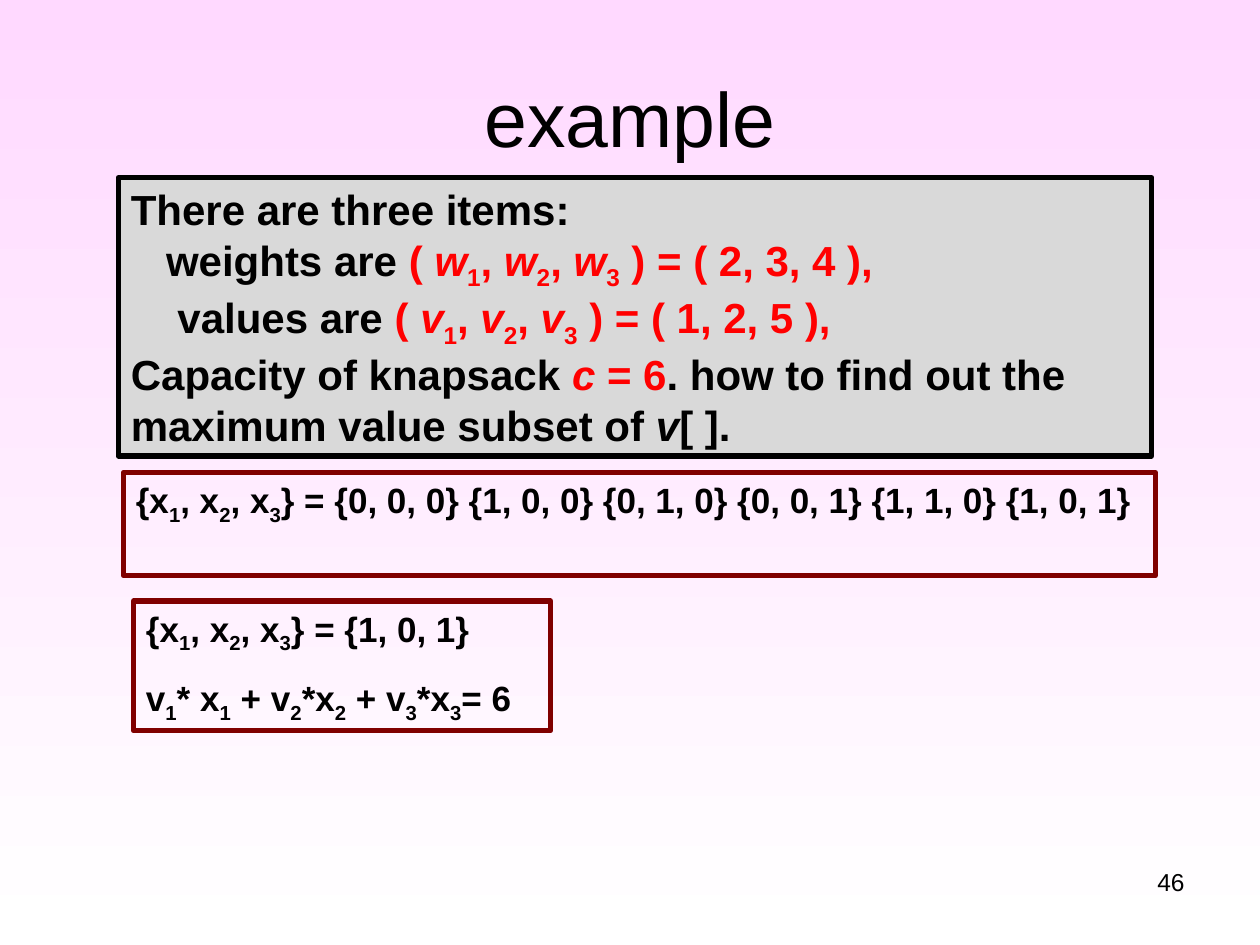
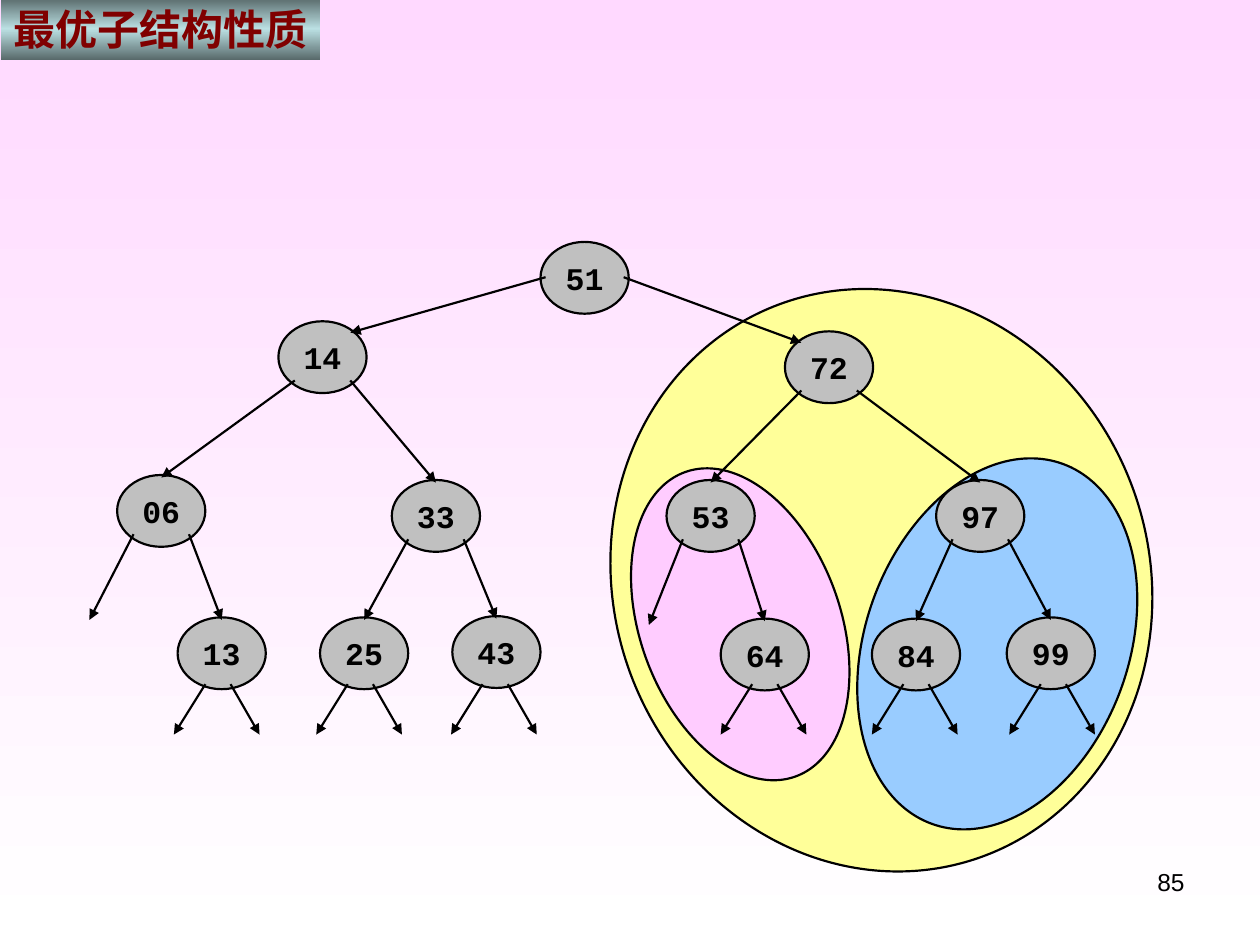
import copy
import itertools

from pptx import Presentation
from pptx import util as u
from pptx.dml.color import RGBColor
from pptx.enum import shapes, text
from pptx.oxml import ns
from pptx.oxml.xmlchemy import OxmlElement

BLACK = RGBColor(0x00, 0x00, 0x00)
WHITE = RGBColor(0xFF, 0xFF, 0xFF)
RED = RGBColor(0xFF, 0x00, 0x00)
MAROON = RGBColor(0x80, 0x00, 0x00)
PINK_TOP = RGBColor(0xFF, 0xD9, 0xFF)
PANEL_GREY = RGBColor(0xD9, 0xD9, 0xD9)
NODE_GREY = RGBColor(0xC0, 0xC0, 0xC0)
YELLOW = RGBColor(0xFF, 0xFF, 0x99)
BLUE = RGBColor(0x99, 0xCC, 0xFF)
PINK = RGBColor(0xFF, 0xCC, 0xFF)
TEAL_DARK = RGBColor(0x57, 0x68, 0x69)
TEAL_LIGHT = RGBColor(0xBB, 0xE0, 0xE3)
LEFT, CENTER, RIGHT = text.PP_ALIGN.LEFT, text.PP_ALIGN.CENTER, text.PP_ALIGN.RIGHT
TOP, MIDDLE = text.MSO_ANCHOR.TOP, text.MSO_ANCHOR.MIDDLE
RECT, OVAL = shapes.MSO_SHAPE.RECTANGLE, shapes.MSO_SHAPE.OVAL


def add_shape(parent, kind, box, fill=None, line=None, width=1.25):
    sp = parent.shapes.add_shape(kind, *map(u.Inches, box))
    sp.shadow.inherit = False
    if fill is None:
        sp.fill.background()
    else:
        sp.fill.solid()
        sp.fill.fore_color.rgb = fill
    if line is None:
        sp.line.fill.background()
    else:
        sp.line.color.rgb = line
        sp.line.width = u.Pt(width)
    return sp


def write(sp, lines, size, align=LEFT, anchor=TOP, bold=False, color=BLACK,
          font="Arial", wrap=True, gap=0):
    """Marks in a line: ^ toggles italic, # toggles red, _ lowers the next character."""
    tf = sp.text_frame
    tf.word_wrap, tf.vertical_anchor = wrap, anchor
    for i, line in enumerate(lines):
        p = tf.paragraphs[0] if i == 0 else tf.add_paragraph()
        p.alignment = align
        if i and gap:
            p.space_before = u.Pt(gap)
        p.font.name, p.font.size, p.font.bold = font, u.Pt(size), bold
        p.font.color.rgb = color
        chars, italic, red, low = [], False, False, False
        for ch in line:
            if ch == "^":
                italic = not italic
            elif ch == "#":
                red = not red
            elif ch == "_":
                low = True
            else:
                chars.append((ch, (italic, red, low)))
                low = False
        for (italic, red, low), group in itertools.groupby(chars, lambda c: c[1]):
            r = p.add_run()
            r.text = "".join(ch for ch, _ in group)
            if italic:
                r.font.italic = True
            if red:
                r.font.color.rgb = RED
            if low:
                r.font._element.set("baseline", "-25000")


prs = Presentation()
prs.slide_width, prs.slide_height = u.Inches(10), u.Inches(7.5)

# Shared background
bg = prs.slide_master.background.fill
bg.gradient()
bg.gradient_angle = 270
for stop, color in zip(bg.gradient_stops, (PINK_TOP, WHITE)):
    stop.color.rgb = color

# Slides with their page numbers
slides = []
for number in ("46", "85"):
    s = prs.slides.add_slide(prs.slide_layouts[6])
    sp = s.shapes.add_textbox(*map(u.Inches, (7.17, 6.83, 2.33, 0.52)))
    write(sp, [number], 14, RIGHT)
    slides.append(s)
example, tree_slide = slides

# Knapsack example: title
sp = example.shapes.add_textbox(*map(u.Inches, (0.5, 0.3, 9, 1.25)))
write(sp, ["example"], 44, CENTER, MIDDLE)

# Problem statement, with the two data lines indented
sp = add_shape(example, RECT, (0.94, 1.41, 8.2, 2.21), PANEL_GREY, BLACK, 3)
write(sp, ["There are three items:",
           "weights are #( ^w^_1, ^w^_2, ^w^_3 ) = ( 2, 3, 4 ),#",
           "values are #( ^v^_1, ^v^_2, ^v^_3 ) = ( 1, 2, 5 ),#",
           "Capacity of knapsack #^c^ = 6#. how to find out the "
           "maximum value subset of ^v^[ ]."], 24, bold=True)
for p, indent in zip(sp.text_frame.paragraphs[1:3], (0.28, 0.37)):
    p._p.get_or_add_pPr().set("marL", str(u.Inches(indent)))

# Candidate subsets and the best one
answers = [
    ((0.98, 3.75, 8.19, 0.82),
     ["{x_1, x_2, x_3} = {0, 0, 0} {1, 0, 0} {0, 1, 0} {0, 0, 1} {1, 1, 0} {1, 0, 1}"]),
    ((1.06, 4.77, 3.31, 1.03),
     ["{x_1, x_2, x_3} = {1, 0, 1}", "v_1* x_1 + v_2*x_2 + v_3*x_3= 6"]),
]
for box, lines in answers:
    sp = add_shape(example, RECT, box, line=MAROON, width=3)
    write(sp, lines, 20, bold=True, gap=12.5)

# Optimal substructure: nested subtree regions
regions = [
    ((4.87, 2.27, 4.25, 4.67), 340, YELLOW),
    ((6.87, 3.59, 2.09, 3.04), 20, BLUE),
    ((5.08, 3.67, 1.59, 2.57), 340, PINK),
]
for box, angle, fill in regions:
    sp = add_shape(tree_slide, OVAL, box, fill, BLACK)
    sp.rotation = angle

# Tree nodes: centre x and top y
NODE_W, NODE_H = 0.7, 0.57
nodes = {
    "51": (4.64, 1.92), "14": (2.56, 2.55), "72": (6.58, 2.63),
    "06": (1.28, 3.77), "33": (3.46, 3.81), "53": (5.64, 3.81), "97": (7.78, 3.81),
    "13": (1.76, 4.9), "25": (2.89, 4.9), "43": (3.94, 4.89),
    "64": (6.07, 4.91), "84": (7.27, 4.91), "99": (8.34, 4.9),
}
tree = tree_slide.shapes.add_group_shape()
for key, (x, y) in nodes.items():
    sp = add_shape(tree, OVAL, (x - NODE_W / 2, y, NODE_W, NODE_H), NODE_GREY, BLACK)
    write(sp, [key], 18, CENTER, MIDDLE, True, font="Courier New", wrap=False)

# Branches: the root's meet the children's shoulders, the others their tops
arrows = []
x, y = nodes["51"]
for side, child in ((-1, "14"), (1, "72")):
    cx, cy = nodes[child]
    arrows.append((x + side * 0.31, y + 0.28, cx - side * 0.22, cy + 0.09))
children = {"14": ("06", "33"), "72": ("53", "97"), "06": (None, "13"),
            "33": ("25", "43"), "53": (None, "64"), "97": ("84", "99")}
for parent, pair in children.items():
    x, y = nodes[parent]
    for side, child in zip((-1, 1), pair):
        cx, cy = nodes[child] if child else (x - 0.57 + 0.08 * (parent == "53"), y + 1.13)
        arrows.append((x + side * 0.22, y + 0.47, cx, cy + 0.02))

# Open branches under the leaves, by the middle of each pair
for x in (1.73, 2.86, 3.93, 6.07, 7.27, 8.36):
    arrows.append((x - 0.1, 5.43, x - 0.35, 5.83))
    arrows.append((x + 0.1, 5.43, x + 0.33, 5.83))

for ends in arrows:
    c = tree.shapes.add_connector(shapes.MSO_CONNECTOR.STRAIGHT, *map(u.Inches, ends))
    c.line.color.rgb = BLACK
    c.line.width = u.Pt(1.25)
    head = OxmlElement("a:tailEnd")
    head.set("type", "triangle")
    c.line._get_or_add_ln().append(head)
    c._element.spPr.append(OxmlElement("a:effectLst"))

# Heading band, dark at both edges
sp = add_shape(tree_slide, RECT, (0.01, -0.02, 2.53, 0.5))
sp.fill.gradient()
sp.fill.gradient_angle = 270
stops = sp._element.spPr.find(".//" + ns.qn("a:gsLst"))
stops.append(copy.deepcopy(stops[-1]))
band = ((0, TEAL_DARK), (0.5, TEAL_LIGHT), (1, TEAL_DARK))
for stop, (position, color) in zip(sp.fill.gradient_stops, band):
    stop.position = position
    stop.color.rgb = color
write(sp, ["最优子结构性质"], 24, bold=True, color=MAROON, wrap=False)

prs.save("out.pptx")
